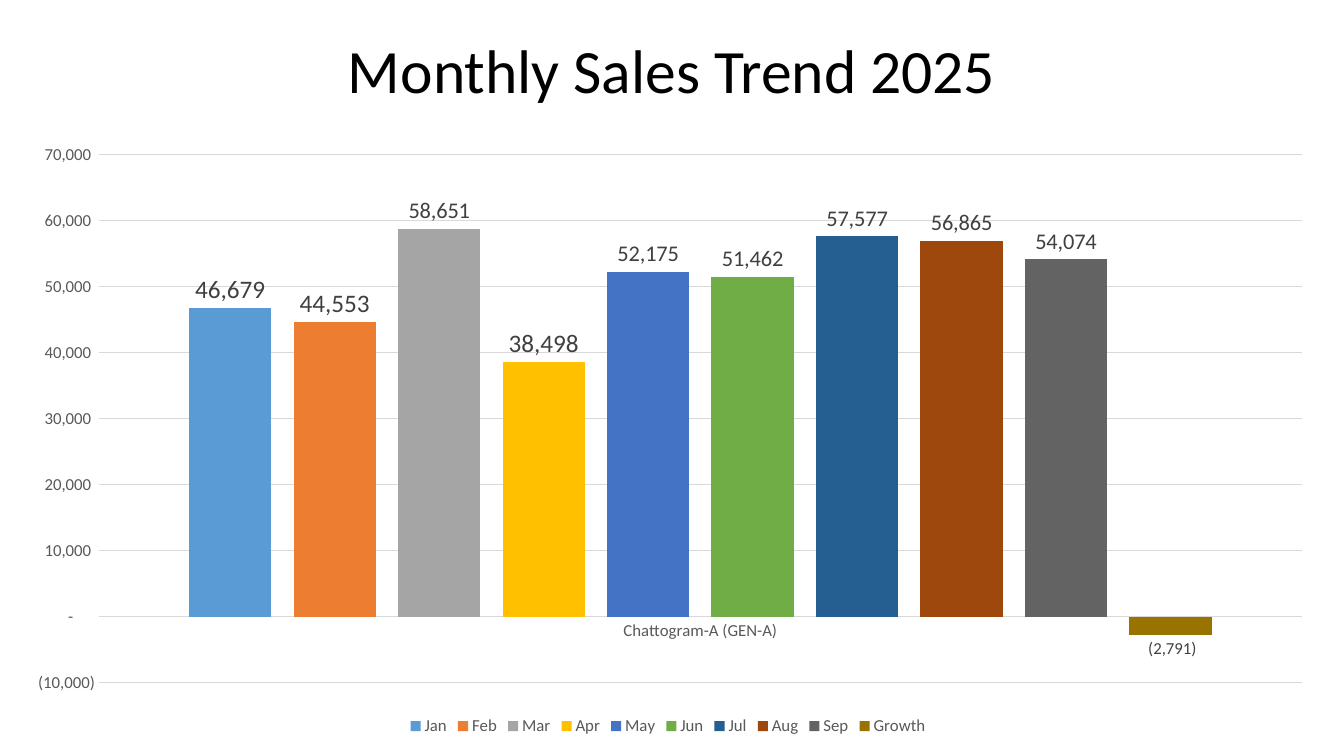
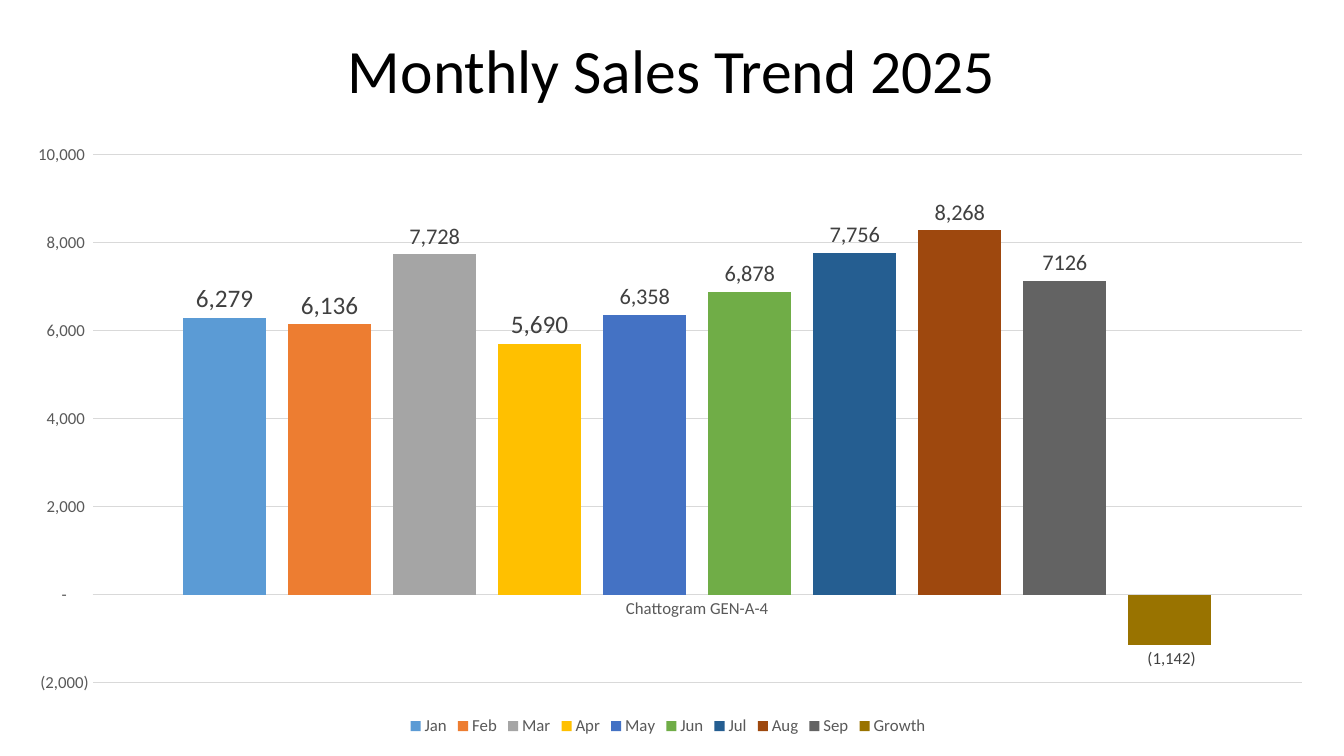
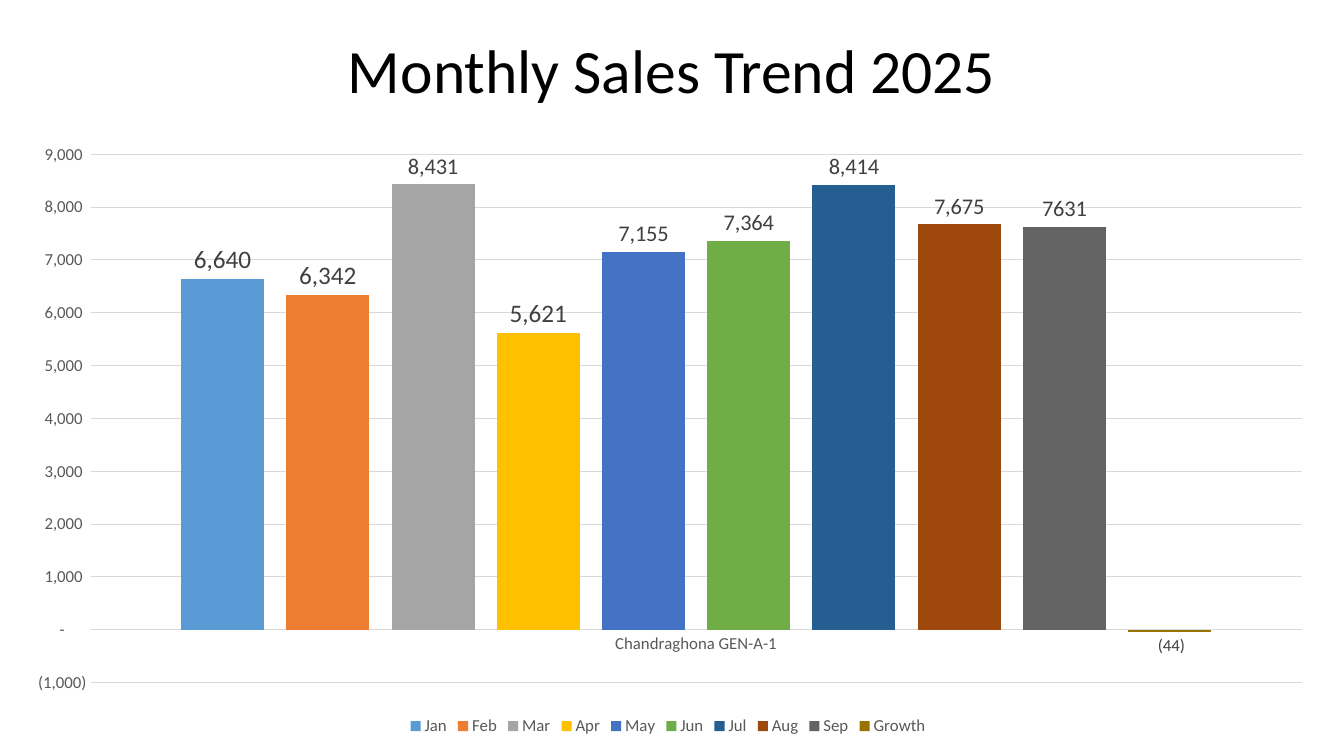
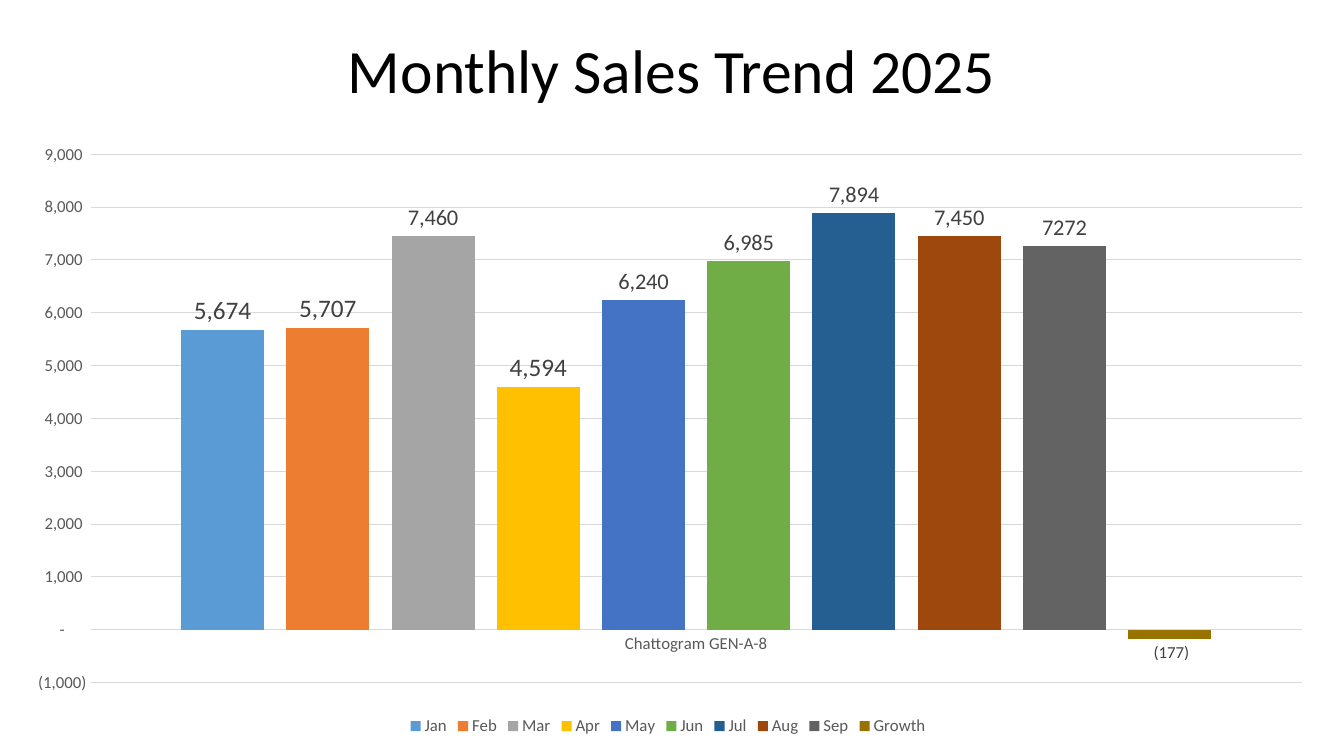
import dataclasses

import pptx
import pptx.chart.data
import pptx.dml.color
import pptx.enum.chart
import pptx.enum.text
import pptx.util

# Content
TITLE = "Monthly Sales Trend 2025"
ACCOUNTING = r'_(* #,##0_);_(* \(#,##0\);_(* "-"??_);_('
PLAIN = "0"

# Series name, column colour, label size
SERIES = [
    ("Jan", "5B9BD5", 18),
    ("Feb", "ED7D31", 18),
    ("Mar", "A5A5A5", 16),
    ("Apr", "FFC000", 18),
    ("May", "4472C4", 16),
    ("Jun", "70AD47", 16),
    ("Jul", "255E91", 16),
    ("Aug", "9E480E", 16),
    ("Sep", "636363", 16),
    ("Growth", "997300", 12),
]

# Territory, values, axis (minimum, maximum, step), September label format
TERRITORIES = [
    ("Chattogram-A (GEN-A)",
     [46679, 44553, 58651, 38498, 52175, 51462, 57577, 56865, 54074, -2791],
     (-10000, 70000, 10000), ACCOUNTING),
    ("Chattogram GEN-A-4",
     [6279, 6136, 7728, 5690, 6358, 6878, 7756, 8268, 7126, -1142],
     (-2000, 10000, 2000), PLAIN),
    ("Chandraghona GEN-A-1",
     [6640, 6342, 8431, 5621, 7155, 7364, 8414, 7675, 7631, -44],
     (-1000, 9000, 1000), PLAIN),
    ("Chattogram GEN-A-8",
     [5674, 5707, 7460, 4594, 6240, 6985, 7894, 7450, 7272, -177],
     (-1000, 9000, 1000), PLAIN),
]


# Theme
@dataclasses.dataclass(frozen=True)
class Theme:
    font: str = "Calibri"
    title: str = "000000"
    axis: str = "595959"
    label: str = "404040"
    rule: str = "D9D9D9"
    title_size: int = 44
    axis_size: int = 12
    chart_size: int = 10
    rule_width: float = 0.75


THEME = Theme()
SLIDE_SIZE = (33.87, 19.05)
TITLE_BOX = (2.33, 0.38, 29.21, 2.95)
CHART_BOX = (0.2, 3.33, 33.27, 15.32)


# Helpers
def cm(values):
    return [pptx.util.Cm(v) for v in values]


def rgb(color):
    return pptx.dml.color.RGBColor.from_string(color)


def style_font(font, size, color):
    font.name = THEME.font
    font.size = pptx.util.Pt(size)
    font.color.rgb = rgb(color)


def style_rule(line):
    line.color.rgb = rgb(THEME.rule)
    line.width = pptx.util.Pt(THEME.rule_width)


def set_text(sp, text, *, size, color, align, spacing):
    tf = sp.text_frame
    tf.word_wrap = True
    tf.vertical_anchor = pptx.enum.text.MSO_ANCHOR.MIDDLE
    p = tf.paragraphs[0]
    p.alignment = align
    p.line_spacing = spacing
    r = p.add_run()
    r.text = text
    style_font(r.font, size, color)


def style_axes(chart, scale):
    for axis in (chart.category_axis, chart.value_axis):
        axis.major_tick_mark = pptx.enum.chart.XL_TICK_MARK.NONE
        axis.minor_tick_mark = pptx.enum.chart.XL_TICK_MARK.NONE
        style_font(axis.tick_labels.font, THEME.axis_size, THEME.axis)
    chart.category_axis.has_major_gridlines = False
    style_rule(chart.category_axis.format.line)

    axis = chart.value_axis
    axis.minimum_scale, axis.maximum_scale, axis.major_unit = scale
    axis.tick_labels.number_format = ACCOUNTING
    axis.tick_labels.number_format_is_linked = False
    axis.format.line.fill.background()
    axis.has_major_gridlines = True
    style_rule(axis.major_gridlines.format.line)


def style_series(series, color, size, number_format):
    series.invert_if_negative = False
    series.format.fill.solid()
    series.format.fill.fore_color.rgb = rgb(color)
    labels = series.data_labels
    labels.show_value = True
    labels.position = pptx.enum.chart.XL_LABEL_POSITION.OUTSIDE_END
    labels.number_format = number_format
    labels.number_format_is_linked = False
    style_font(labels.font, size, THEME.label)


def add_sales_chart(slide, territory, values, scale, sep_format):
    data = pptx.chart.data.CategoryChartData(number_format=ACCOUNTING)
    data.categories = [territory]
    for (name, _, _), value in zip(SERIES, values):
        data.add_series(name, [value])
    chart = slide.shapes.add_chart(
        pptx.enum.chart.XL_CHART_TYPE.COLUMN_CLUSTERED, *cm(CHART_BOX), data).chart
    chart.has_title = False
    style_font(chart.font, THEME.chart_size, THEME.title)

    plot = chart.plots[0]
    plot.gap_width = 219
    plot.overlap = -27
    plot.vary_by_categories = False
    for series, (name, color, size) in zip(plot.series, SERIES):
        style_series(series, color, size, sep_format if name == "Sep" else ACCOUNTING)
    style_axes(chart, scale)

    chart.has_legend = True
    chart.legend.position = pptx.enum.chart.XL_LEGEND_POSITION.BOTTOM
    chart.legend.include_in_layout = False
    style_font(chart.legend.font, THEME.axis_size, THEME.axis)


def add_trend_slide(prs, territory):
    slide = prs.slides.add_slide(prs.slide_layouts.get_by_name("Title Only"))
    title = slide.shapes.title
    title.left, title.top, title.width, title.height = cm(TITLE_BOX)
    set_text(title, TITLE, size=THEME.title_size, color=THEME.title,
             align=pptx.enum.text.PP_ALIGN.CENTER, spacing=0.9)
    add_sales_chart(slide, *territory)


# Build
def main():
    prs = pptx.Presentation()
    prs.slide_width, prs.slide_height = cm(SLIDE_SIZE)
    for territory in TERRITORIES:
        add_trend_slide(prs, territory)
    prs.save("out.pptx")


if __name__ == "__main__":
    main()
